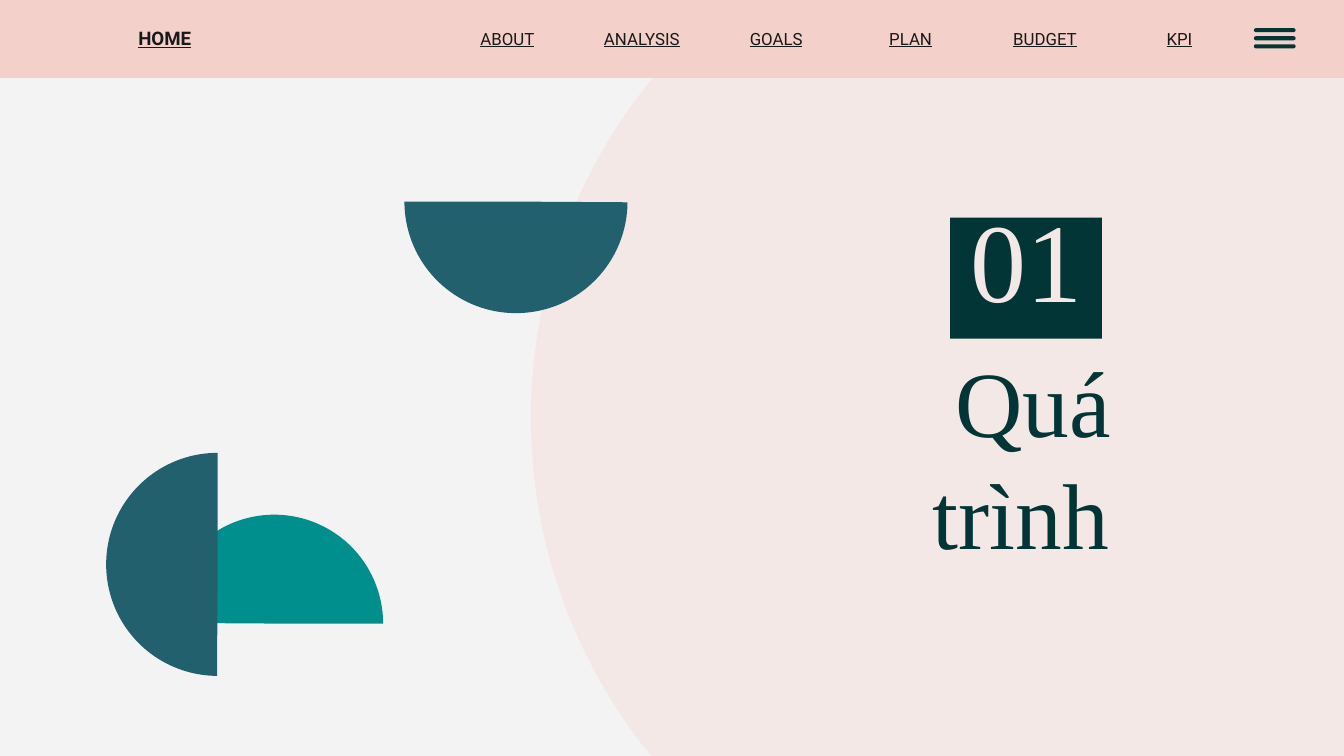
from pptx import Presentation
from pptx.dml.color import RGBColor
from pptx.enum.shapes import MSO_SHAPE
from pptx.enum.text import MSO_ANCHOR, MSO_AUTO_SIZE, PP_ALIGN
from pptx.util import Inches, Pt

OVAL, RECT = MSO_SHAPE.OVAL, MSO_SHAPE.RECTANGLE
ROUND, PIE = MSO_SHAPE.ROUNDED_RECTANGLE, MSO_SHAPE.PIE
BOTTOM, MIDDLE = MSO_ANCHOR.BOTTOM, MSO_ANCHOR.MIDDLE
NO_FIT, CENTER = MSO_AUTO_SIZE.NONE, PP_ALIGN.CENTER

WIDTH = 10
HEIGHT = WIDTH * 9 / 16
DARK, BLUSH, PINK = "023535", "F3E8E5", "F3D0C9"
TEAL, SLATE, INK, PAPER = "008F8C", "23606E", "191919", "F3F3F3"
SERIF, SANS = "Times New Roman", "Roboto"
NAV = ["ABOUT", "ANALYSIS", "GOALS", "PLAN", "BUDGET", "KPI"]
NAV_LEFT, NAV_STEP = 3.33, 1
BAR_TOP, BAR_STEP = 0.21, 0.06


def color(hex_value):
    """Turn a hex string into a colour."""
    return RGBColor.from_string(hex_value)


def add_block(shapes, kind, box, fill):
    """Add a flat filled preset shape."""
    sp = shapes.add_shape(kind, *map(Inches, box))
    sp.shadow.inherit = False
    sp.fill.solid()
    sp.fill.fore_color.rgb = color(fill)
    sp.line.fill.background()
    return sp


def add_half_disc(shapes, left, top, size, fill, rotation=0):
    """Add a half disc, flat side to the right before rotation."""
    sp = add_block(shapes, PIE, (left, top, size, size), fill)
    sp.adjustments[0] = 54.21
    sp.adjustments[1] = 162
    sp.rotation = rotation


def write(sp, text, size, font, fill, anchor, insets, bold=None, underline=None):
    """Write one centred run into a shape."""
    tf = sp.text_frame
    tf.word_wrap = True
    tf.auto_size = NO_FIT
    tf.vertical_anchor = anchor
    tf.margin_left, tf.margin_top, tf.margin_right, tf.margin_bottom = map(Inches, insets)
    p = tf.paragraphs[0]
    p.alignment = CENTER
    r = p.add_run()
    r.text = text
    r.font.size = Pt(size)
    r.font.name = font
    r.font.color.rgb = color(fill)
    r.font.bold = bold
    r.font.underline = underline


def add_nav_item(shapes, text, left, size=9, bold=None):
    """Add an underlined entry of the top menu."""
    sp = shapes.add_textbox(*map(Inches, (left, 0.2, 0.89, 0.17)))
    write(sp, text, size, SANS, INK, MIDDLE, (0, 0.1, 0, 0.1), bold, True)


def place_title(sp, text):
    """Position and fill the title placeholder."""
    sp.left, sp.top, sp.width, sp.height = map(Inches, (6.33, 2.66, 2.61, 1.67))
    write(sp, text, 50, SERIF, DARK, BOTTOM, (0.1, 0.1, 0, 0.1))
    sp.text_frame.paragraphs[0].line_spacing = 1.0


def add_menu_icon(shapes):
    """Add the grouped three-bar menu icon."""
    group = shapes.add_group_shape()
    for row in range(3):
        box = (9.33, BAR_TOP + row * BAR_STEP, 0.31, 0.03)
        add_block(group.shapes, ROUND, box, DARK).adjustments[0] = 0.5


def main():
    """Build the section slide."""
    prs = Presentation()
    prs.slide_width, prs.slide_height = Inches(WIDTH), Inches(HEIGHT)
    s = prs.slides.add_slide(prs.slide_layouts[5])
    s.background.fill.solid()
    s.background.fill.fore_color.rgb = color(PAPER)
    shapes = s.shapes

    title = shapes.title
    place_title(title, "Quá trình ")
    circle = add_block(shapes, OVAL, (3.95, -0.87, 7.96, 7.96), BLUSH)
    title.element.addprevious(circle.element)
    number = add_block(shapes, RECT, (7.07, 1.62, 1.13, 0.9), DARK)
    write(number, "01", 60, SERIF, BLUSH, BOTTOM, (0.1,) * 4)

    add_block(shapes, RECT, (0, 0, WIDTH, 0.58), PINK)
    add_menu_icon(shapes)
    add_half_disc(shapes, 1.23, 3.83, 1.62, TEAL, 90)
    add_half_disc(shapes, 3.01, 0.67, 1.66, SLATE, 270)
    add_half_disc(shapes, 0.79, 3.37, 1.66, SLATE)

    add_nav_item(shapes, "HOME", 0.78, 10, True)
    for column, text in enumerate(NAV):
        add_nav_item(shapes, text, NAV_LEFT + column * NAV_STEP)
    prs.save("out.pptx")


if __name__ == "__main__":
    main()
